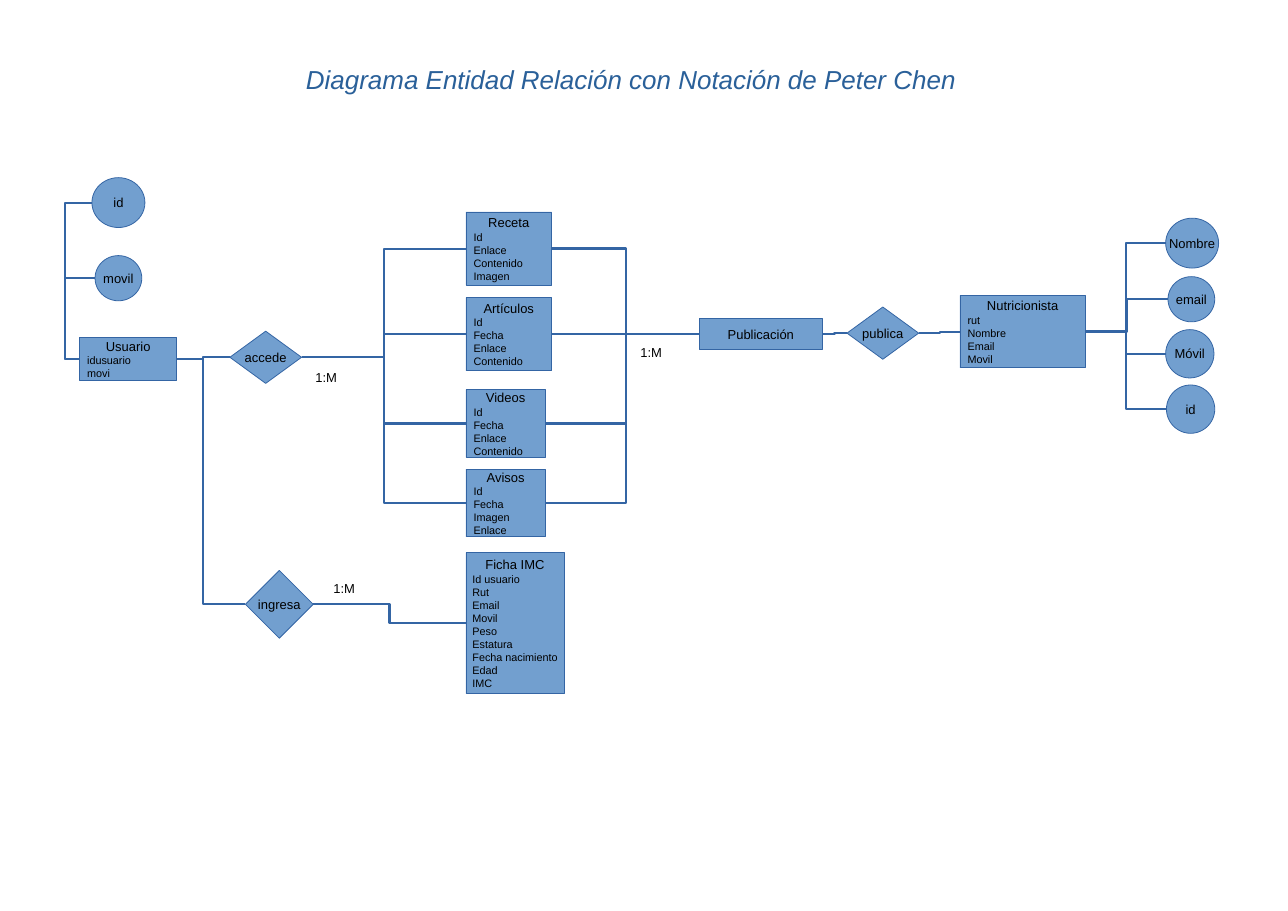
from dataclasses import dataclass

import lxml.etree
import pptx
import pptx.dml.color
import pptx.enum.shapes
import pptx.enum.text
import pptx.oxml.ns
import pptx.util

Inches = pptx.util.Inches
Kind = pptx.enum.shapes.MSO_SHAPE
Align = pptx.enum.text.PP_ALIGN
Anchor = pptx.enum.text.MSO_ANCHOR
qn = pptx.oxml.ns.qn

COLORS = {"fill": "729FCF", "line": "3465A4", "text": "000000", "title": "2A6099"}
FONT = "Arial"
LEFT, RIGHT = 1, 3
ELLIPSE_LEFT = 2  # an ellipse has eight connection sites


@dataclass
class Node:
    key: str
    kind: Kind
    left: float
    top: float
    width: float
    height: float
    name: str
    attributes: tuple[str, ...] = ()

    def side(self, site: int) -> tuple[float, float]:
        """Middle of the left or right side, in inches."""
        x = self.left + (self.width if site == RIGHT else 0)
        return x, self.top + self.height / 2


@dataclass
class Link:
    begin: str
    begin_side: int
    end: str
    end_side: int
    bend: float | None = None  # x of the vertical run; None is a straight line


@dataclass
class Label:
    left: float
    top: float
    width: float
    height: float
    text: str


NODES = [
    Node("publicación", Kind.RECTANGLE, 8.98, 4.09, 1.57, 0.4, "Publicación"),
    Node("usuario", Kind.RECTANGLE, 1.02, 4.33, 1.25, 0.55, "Usuario", ("idusuario", "movi")),
    Node("receta", Kind.RECTANGLE, 5.98, 2.72, 1.1, 0.94, "Receta",
         ("Id", "Enlace", "Contenido", "Imagen")),
    Node("artículos", Kind.RECTANGLE, 5.98, 3.82, 1.1, 0.94, "Artículos",
         ("Id", "Fecha", "Enlace", "Contenido")),
    Node("videos", Kind.RECTANGLE, 5.98, 5, 1.02, 0.87, "Videos",
         ("Id", "Fecha", "Enlace", "Contenido")),
    Node("avisos", Kind.RECTANGLE, 5.98, 6.02, 1.02, 0.87, "Avisos",
         ("Id", "Fecha", "Imagen", "Enlace")),
    Node("ficha", Kind.RECTANGLE, 5.98, 7.09, 1.26, 1.81, "Ficha IMC",
         ("Id usuario", "Rut", "Email", "Movil", "Peso", "Estatura",
          "Fecha nacimiento", "Edad", "IMC")),
    Node("nutricionista", Kind.RECTANGLE, 12.32, 3.79, 1.61, 0.93, "Nutricionista",
         ("rut", "Nombre", "Email", "Movil")),
    Node("publica", Kind.DIAMOND, 10.87, 3.94, 0.92, 0.67, "publica"),
    Node("accede", Kind.DIAMOND, 2.95, 4.25, 0.92, 0.67, "accede"),
    Node("ingresa", Kind.DIAMOND, 3.15, 7.32, 0.87, 0.87, "ingresa"),
    Node("usuario id", Kind.OVAL, 1.18, 2.28, 0.68, 0.64, "id"),
    Node("usuario movil", Kind.OVAL, 1.22, 3.28, 0.6, 0.58, "movil"),
    Node("nombre", Kind.OVAL, 14.96, 2.8, 0.68, 0.64, "Nombre"),
    Node("email", Kind.OVAL, 14.99, 3.55, 0.6, 0.58, "email"),
    Node("móvil", Kind.OVAL, 14.96, 4.23, 0.62, 0.62, "Móvil"),
    Node("nutricionista id", Kind.OVAL, 14.97, 4.94, 0.62, 0.62, "id"),
]
CONTENTS = ("receta", "videos", "avisos")
LINKS = [
    *(Link("publicación", LEFT, content, RIGHT, 8.03) for content in CONTENTS),
    Link("publicación", LEFT, "artículos", RIGHT),
    *(Link("accede", RIGHT, content, LEFT, 4.93) for content in (*CONTENTS, "artículos")),
    *(Link(key, LEFT, "nutricionista", RIGHT, bend)
      for key, bend in (("nombre", 14.45), ("email", 14.46),
                        ("móvil", 14.45), ("nutricionista id", 14.45))),
    *(Link(key, LEFT, "usuario", LEFT, 0.83) for key in ("usuario id", "usuario movil")),
    Link("nutricionista", LEFT, "publica", RIGHT, 12.06),
    Link("publica", LEFT, "publicación", RIGHT, 10.71),
    Link("usuario", RIGHT, "accede", LEFT, 2.61),
    Link("usuario", RIGHT, "ingresa", LEFT, 2.61),
    Link("ingresa", RIGHT, "ficha", LEFT, 5),
]
LABELS = [
    Label(8.12, 4.37, 0.7, 0.35, "1:M"),
    Label(3.95, 4.69, 0.7, 0.35, "1:M"),
    Label(4.18, 7.4, 0.62, 0.29, "1:M"),
]


def rgb(name: str) -> pptx.dml.color.RGBColor:
    return pptx.dml.color.RGBColor.from_string(COLORS[name])


def add_span(para, text: str, size: float, color: str = "text", italic: bool = False) -> None:
    span = para.add_run()
    span.text = text
    span.font.name = FONT
    span.font.size = pptx.util.Pt(size)
    span.font.italic = italic
    span.font.color.rgb = rgb(color)


def set_outline(line) -> None:
    line.color.rgb = rgb("line")
    line.width = pptx.util.Pt(0)


def draw_node(page, node: Node):
    box = page.shapes.add_shape(node.kind, Inches(node.left), Inches(node.top),
                                Inches(node.width), Inches(node.height))
    box.shadow.inherit = False
    box.fill.solid()
    box.fill.fore_color.rgb = rgb("fill")
    set_outline(box.line)
    frame = box.text_frame
    frame.word_wrap = False
    frame.vertical_anchor = Anchor.MIDDLE
    heading = frame.paragraphs[0]
    heading.alignment = Align.CENTER
    add_span(heading, node.name, 12)
    for attribute in node.attributes:
        para = frame.add_paragraph()
        para.alignment = Align.LEFT
        add_span(para, attribute, 10)
    return box


def draw_link(page, link: Link, nodes: dict[str, Node], boxes: dict) -> None:
    begin, end = nodes[link.begin], nodes[link.end]
    begin_x, begin_y = begin.side(link.begin_side)
    end_x, end_y = end.side(link.end_side)
    types = pptx.enum.shapes.MSO_CONNECTOR
    kind = types.STRAIGHT if link.bend is None else types.ELBOW
    connector = page.shapes.add_connector(kind, Inches(begin_x), Inches(begin_y),
                                          Inches(end_x), Inches(end_y))
    site = ELLIPSE_LEFT if begin.kind == Kind.OVAL else link.begin_side
    connector.begin_connect(boxes[link.begin], site)
    connector.end_connect(boxes[link.end], link.end_side)
    connector.begin_x, connector.begin_y = Inches(begin_x), Inches(begin_y)
    set_outline(connector.line)
    properties = connector.element.spPr
    lxml.etree.SubElement(properties, qn("a:effectLst"))
    if link.bend is not None:
        ratio = (link.bend - begin_x) / (end_x - begin_x)
        guides = properties.find(qn("a:prstGeom")).find(qn("a:avLst"))
        lxml.etree.SubElement(guides, qn("a:gd"), name="adj1", fmla=f"val {round(ratio * 100000)}")


def draw_label(page, label: Label) -> None:
    box = page.shapes.add_textbox(Inches(label.left), Inches(label.top),
                                  Inches(label.width), Inches(label.height))
    box.text_frame.word_wrap = True
    add_span(box.text_frame.paragraphs[0], label.text, 12)


def draw_title(page, text: str) -> None:
    box = page.shapes.add_textbox(Inches(0.39), Inches(0.53), Inches(15.41), Inches(0.97))
    frame = box.text_frame
    frame.word_wrap = True
    frame.vertical_anchor = Anchor.MIDDLE
    frame.margin_left = frame.margin_right = frame.margin_top = frame.margin_bottom = 0
    para = frame.paragraphs[0]
    para.alignment = Align.CENTER
    add_span(para, text, 24, "title", italic=True)


def main() -> None:
    deck = pptx.Presentation()
    deck.slide_width, deck.slide_height = Inches(16.53), Inches(11.69)
    page = deck.slides.add_slide(deck.slide_layouts[6])
    draw_title(page, "Diagrama Entidad Relación con Notación de Peter Chen")
    nodes = {node.key: node for node in NODES}
    boxes = {node.key: draw_node(page, node) for node in NODES}
    for link in LINKS:
        draw_link(page, link, nodes, boxes)
    for label in LABELS:
        draw_label(page, label)
    deck.save("out.pptx")


if __name__ == "__main__":
    main()
